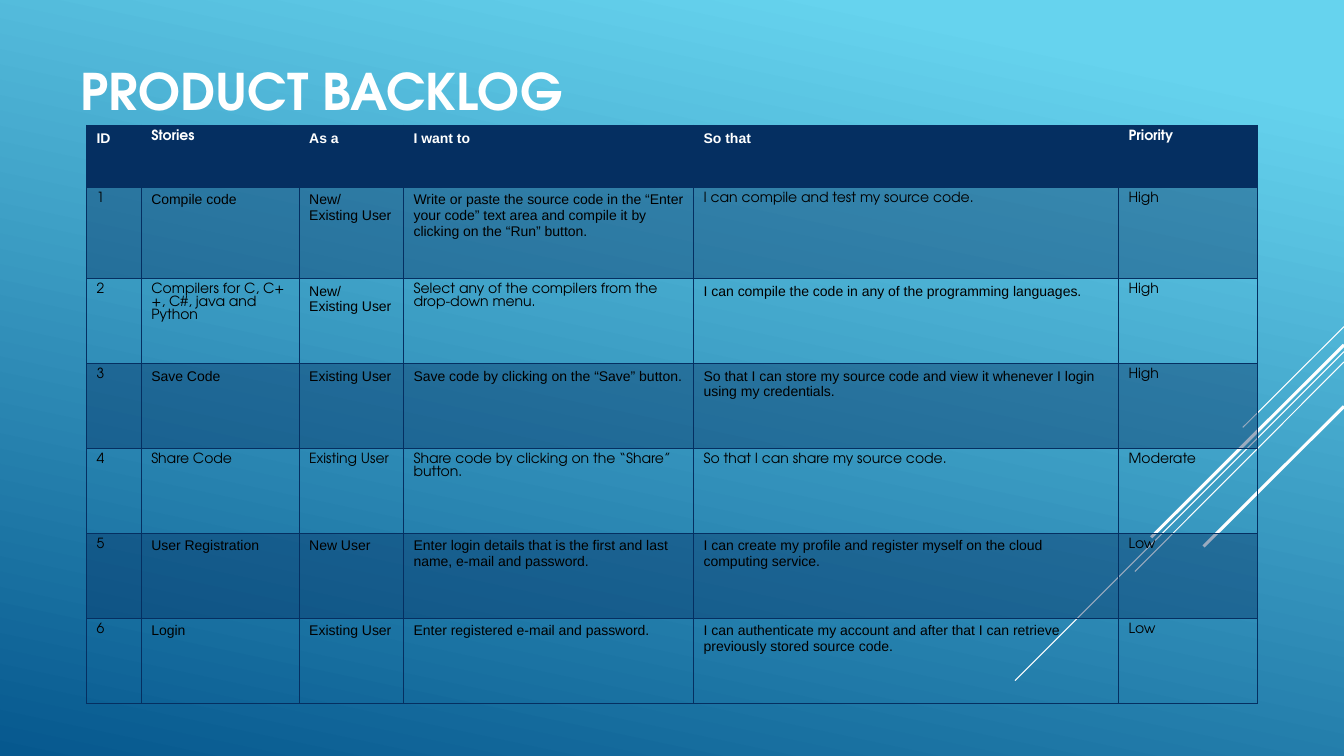
from dataclasses import dataclass

from lxml import etree
from pptx import Presentation
from pptx.dml.color import RGBColor
from pptx.enum.shapes import MSO_CONNECTOR
from pptx.enum.text import MSO_ANCHOR, MSO_AUTO_SIZE, PP_ALIGN
from pptx.oxml.ns import qn
from pptx.util import Cm, Pt

STRAIGHT = MSO_CONNECTOR.STRAIGHT
LEFT = PP_ALIGN.LEFT
TOP = MSO_ANCHOR.TOP
BOTTOM = MSO_ANCHOR.BOTTOM
FIXED = MSO_AUTO_SIZE.NONE


@dataclass(frozen=True)
class Theme:
    sky: str = "66D3EE"
    deep: str = "06588E"
    navy: str = "052F61"
    white: str = "FFFFFF"
    black: str = "000000"
    plain: str = "Arial"
    round: str = "TeX Gyre Adventor"
    title: int = 36
    body: int = 10
    thin: float = 0.75
    thick: float = 2.25
    band: int = 40


THEME = Theme()
WIDTH, HEIGHT = 33.87, 19.05
COLS = [1.38, 3.98, 2.63, 7.31, 10.71, 3.5]
ROWS = [1.56, 2.3] + [2.14] * 5

STREAKS = [
    (8.23, 31.32, 10.77, THEME.thin),
    (8.86, 25.58, 17.15, THEME.thin),
    (9.12, 28.6, 14.4, THEME.thin),
    (8.69, 29.01, 13.54, THEME.thick),
    (10.24, 30.33, 13.77, THEME.thick),
]

FONTS = {"P": THEME.plain, "R": THEME.round}
BACKLOG = [
    ("PRPPPR", ["ID", "Stories", "As a", "I want to", "So that", "Priority"]),
    ("RPPPRR", [
        "1", "Compile code", "New/ Existing User",
        "Write or paste the source code in the “Enter your code” text area "
        "and compile it by clicking on the “Run” button.",
        "I can compile and test my source code.", "High"]),
    ("RRPRPR", [
        "2", "Compilers for C, C++, C#, java and Python", "New/ Existing User",
        "Select any of the compilers from the drop-down menu.",
        "I can compile the code in any of the programming languages.", "High"]),
    ("RPPPPR", [
        "3", "Save Code", "Existing User",
        "Save code by clicking on the “Save” button.",
        "So that I can store my source code and view it whenever I login "
        "using my credentials.", "High"]),
    ("RRRRRR", [
        "4", "Share Code", "Existing User",
        "Share code by clicking on the “Share” button.",
        "So that I can share my source code.", "Moderate"]),
    ("RPPPPR", [
        "5", "User Registration", "New User",
        "Enter login details that is the first and last name, e-mail and password.",
        "I can create my profile and register myself on the cloud computing service.",
        "Low"]),
    ("RPPPPR", [
        "6", "Login", "Existing User", "Enter registered e-mail and password.",
        "I can authenticate my account and after that I can retrieve "
        "previously stored source code.", "Low"]),
]


def color(code):
    return RGBColor.from_string(code)


def write(frame, text, font=THEME.round, size=THEME.body, ink=THEME.black, bold=False):
    para = frame.paragraphs[0]
    para.alignment = LEFT
    run = para.add_run()
    run.text = text
    run.font.name = font
    run.font.size = Pt(size)
    run.font.bold = bold
    run.font.color.rgb = color(ink)


def paint(slide):
    fill = slide.background.fill
    fill.gradient()
    fill.gradient_angle = 258
    for stop, code, place in zip(fill.gradient_stops, (THEME.sky, THEME.deep), (0.1, 1)):
        stop.color.rgb = color(code)
        stop.position = place


def streak(slide, top, left, base, weight):
    line = slide.shapes.add_connector(STRAIGHT, Cm(WIDTH), Cm(top), Cm(left), Cm(base))
    line.line.color.rgb = color(THEME.white)
    line.line.width = Pt(weight)
    etree.SubElement(line._element.spPr, qn("a:effectLst"))


def head(slide, text):
    title = slide.shapes.title
    title.left, title.top = Cm(1.9), Cm(-3.18)
    title.width, title.height = Cm(23.7), Cm(6.35)
    frame = title.text_frame
    frame.auto_size = FIXED
    frame.word_wrap = True
    frame.vertical_anchor = BOTTOM
    frame.margin_left = frame.margin_right = Cm(0.13)
    frame.margin_top = frame.margin_bottom = Cm(0.13)
    write(frame, text, size=THEME.title, ink=THEME.white, bold=True)


def shade(cell, row):
    if row and row % 2 == 0:
        cell.fill.background()
        return
    cell.fill.solid()
    cell.fill.fore_color.rgb = color(THEME.navy)
    if row:
        tint = cell._tc.tcPr.find(".//" + qn("a:srgbClr"))
        etree.SubElement(tint, qn("a:alpha"), val=str(THEME.band * 1000))


def border(cell):
    props = cell._tc.get_or_add_tcPr()
    for spot, side in enumerate(("lnL", "lnR", "lnT", "lnB")):
        edge = etree.Element(qn("a:" + side), w=str(Pt(THEME.thin)))
        fill = etree.SubElement(edge, qn("a:solidFill"))
        etree.SubElement(fill, qn("a:srgbClr"), val=THEME.navy)
        props.insert(spot, edge)


def grid(slide):
    frame = slide.shapes.add_table(
        len(ROWS), len(COLS), Cm(2.18), Cm(3.16), Cm(sum(COLS)), Cm(sum(ROWS)))
    table = frame.table
    table.horz_banding = False
    for col, width in zip(table.columns, COLS):
        col.width = Cm(width)
    for row, height in zip(table.rows, ROWS):
        row.height = Cm(height)
    for row, (faces, texts) in enumerate(BACKLOG):
        ink = THEME.black if row else THEME.white
        for col, (face, text) in enumerate(zip(faces, texts)):
            cell = table.cell(row, col)
            cell.vertical_anchor = TOP
            shade(cell, row)
            border(cell)
            write(cell.text_frame, text, font=FONTS[face], ink=ink, bold=row == 0)


def main():
    deck = Presentation()
    deck.slide_width, deck.slide_height = Cm(WIDTH), Cm(HEIGHT)
    slide = deck.slides.add_slide(deck.slide_layouts[5])
    paint(slide)
    for mark in STREAKS:
        streak(slide, *mark)
    head(slide, "PRODUCT BACKLOG")
    grid(slide)
    deck.save("out.pptx")


if __name__ == "__main__":
    main()
